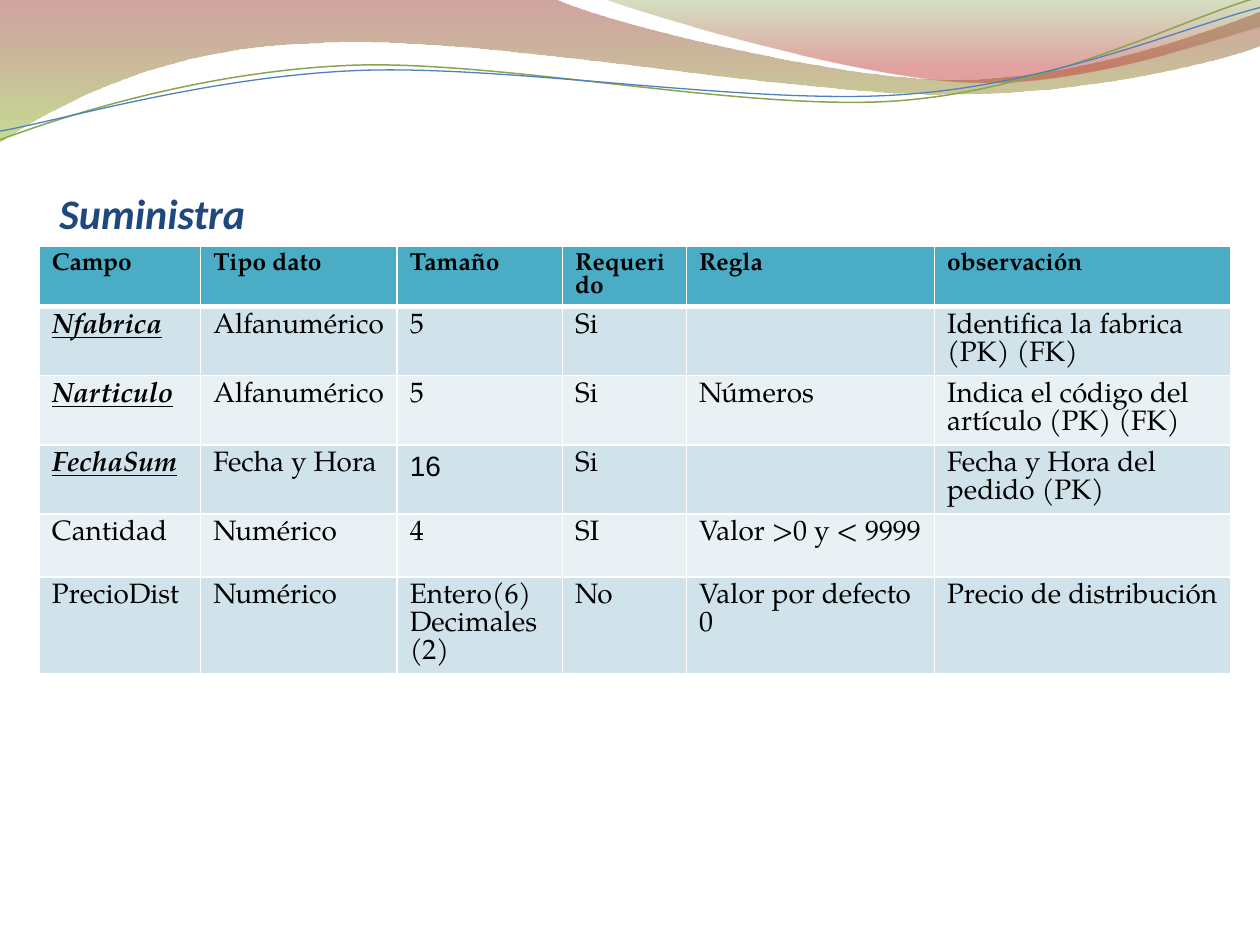
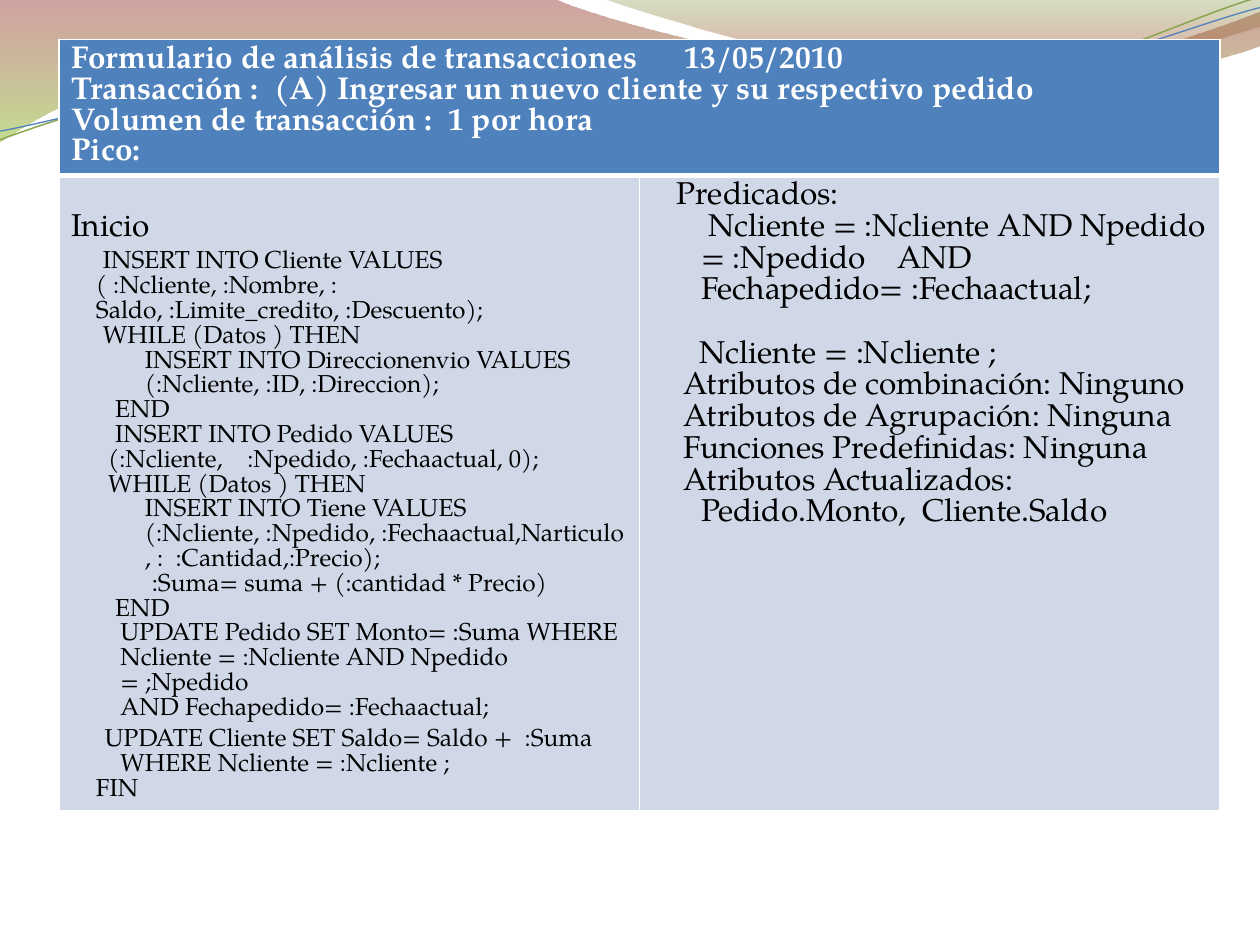
from lxml import etree
from pptx import Presentation
from pptx.dml.color import RGBColor
from pptx.enum.text import MSO_ANCHOR, PP_ALIGN
from pptx.oxml.ns import qn
from pptx.util import Pt

LEFT = PP_ALIGN.LEFT
BOTTOM = MSO_ANCHOR.BOTTOM
SERIF, SANS, PLAIN = "TeX Gyre Pagella", "Calibri", "Arial"
BLACK, WHITE, NAVY, BLUE, TEAL = "000000", "FFFFFF", "1F497D", "4F81BD", "4BACC6"
BANDS = ("D0E3EA", "E9F1F5")
PALE = "D0D8E8"

WAVES = [
    ([(0, 0), (316.8, -0.7),
      (342.7, 12.2, 478.1, 45.4, 545.8, 45.4),
      (614.2, 45.4, 689.8, 18.7, 720, 6.5), (720.7, 25.9),
      (707.8, 31.7, 626.4, 54.7, 537.1, 54),
      (447.8, 54, 275, 20.2, 185, 24.5),
      (92.9, 25.9, 33.1, 59.8, -0.7, 81.4)],
     [(0, "973330", 45), (1, "95C238", 55)]),
    ([(344.9, -0.7),
      (366.5, 7.9, 491, 44.6, 553.7, 46.8),
      (616.3, 49.7, 691.9, 23, 720, 15.1), (720, 0)],
     [(0, "769537", 30), (0.8, "BE3330", 45)]),
]
STRANDS = [
    ([(0, 79.9),
      (34.6, 67, 113.8, 41, 199.4, 37.4),
      (284.4, 33.8, 427, 64.1, 513.4, 57.6),
      (599.8, 51.1, 675.4, 10.8, 718.6, -1.4)], "89A54F", 0.85),
    ([(0, 74.9),
      (33.8, 69.1, 118.1, 43.9, 203.8, 40.3),
      (290.2, 36.7, 429.8, 60.5, 516.2, 54),
      (601.9, 48.2, 677.5, 15.1, 720, 4.3)], BLUE, 0.75),
]

HEADS = ["Campo", "Tipo dato", "Tamaño", "Requerido", "Regla", "observación"]
FIELDS = [
    ["Nfabrica", "Alfanumérico", "5", "Si", "", "Identifica la fabrica (PK) (FK)"],
    ["Narticulo", "Alfanumérico", "5", "Si", "Números",
     "Indica el código del artículo (PK) (FK)"],
    ["FechaSum", "Fecha y Hora", "16", "Si", "", "Fecha y Hora del pedido (PK)"],
    ["Cantidad", "Numérico", "4", "SI", "Valor >0 y < 9999", ""],
    ["PrecioDist", "Numérico", "Entero(6) Decimales (2)", "No",
     "Valor por defecto 0", "Precio de distribución"],
]
KEYS = ("Nfabrica", "Narticulo", "FechaSum")

TITLE, DATE = "Formulario de análisis de transacciones", "13/05/2010"
FORM = [
    (TITLE, {"aside": DATE, "gap": 22.5}),
    ("Transacción :  (A) Ingresar un nuevo cliente y su respectivo pedido", {}),
    ("Volumen de transacción :  1 por hora", {}),
    ("Pico:", {}),
]
STEPS = [
    ("Inicio", {"size": 18}),
    ("INSERT INTO Cliente VALUES ( :Ncliente, :Nombre, : Saldo, "
     ":Limite_credito, :Descuento);", {"left": 14, "first": 4, "before": 3.5}),
    ("WHILE (Datos ) THEN", {"left": 18}),
    ("INSERT INTO Direccionenvio VALUES (:Ncliente, :ID, :Direccion);", {"left": 42}),
    ("END", {"left": 25}),
    ("INSERT INTO Pedido VALUES (:Ncliente,    :Npedido, :Fechaactual, 0);",
     {"left": 21, "first": 4}),
    ("WHILE (Datos ) THEN", {"left": 21}),
    ("INSERT INTO Tiene VALUES (:Ncliente, :Npedido, :Fechaactual,Narticulo"
     ", :  :Cantidad,:Precio);", {"left": 42}),
    (":Suma= suma + (:cantidad * Precio)", {"left": 46}),
    ("END", {"left": 25}),
    ("UPDATE Pedido SET Monto= :Suma WHERE Ncliente = :Ncliente AND "
     "Npedido = ;Npedido", {"left": 28}),
    ("AND Fechapedido= :Fechaactual;", {"left": 28}),
    ("UPDATE Cliente SET Saldo= Saldo +  :Suma WHERE Ncliente = :Ncliente ;",
     {"left": 28, "first": -9, "before": 3.5}),
    ("FIN", {"left": 14, "before": 0.5}),
]
RULES = [
    ("Predicados:", {"left": 14}),
    ("Ncliente = :Ncliente AND Npedido = :Npedido    AND Fechapedido= :Fechaactual;",
     {"left": 28, "first": 4}),
    ("Ncliente = :Ncliente ;", {"left": 27, "before": 18.2}),
    ("Atributos de combinación: Ninguno", {"left": 18}),
    ("Atributos de Agrupación: Ninguna", {"left": 18}),
    ("Funciones Predefinidas: Ninguna", {"left": 18}),
    ("Atributos Actualizados: Pedido.Monto,  Cliente.Saldo",
     {"left": 28, "first": -10}),
]


def hue(code):
    return RGBColor.from_string(code)


def write(para, text, size=16, face=SERIF, color=BLACK, bold=False, slant=False,
          under=False, left=0, first=0, before=0, aside="", gap=0):
    props = para._p.get_or_add_pPr()
    props.set("marL", str(Pt(left)))
    props.set("indent", str(Pt(first)))
    para.alignment = LEFT
    if before:
        para.space_before = Pt(before)
    if not text:
        para.font.size = Pt(size)
        return
    for part in (text, " ", aside) if aside else (text,):
        run = para.add_run()
        run.text = part
        font = run.font
        font.name, font.size = face, Pt(size)
        font.bold, font.italic, font.underline = bold, slant, under
        font.color.rgb = hue(color)
        if part == " ":
            run._r.get_or_add_rPr().set("spc", str(int(gap * 100)))


def fill_list(cell, lines, **base):
    frame = cell.text_frame
    for n, (text, extra) in enumerate(lines):
        para = frame.add_paragraph() if n else frame.paragraphs[0]
        write(para, text, **{**base, **extra})


def edge(cell, side, width):
    line = etree.SubElement(cell._tc.get_or_add_tcPr(), qn("a:ln" + side),
                            w=str(Pt(width)))
    solid = etree.SubElement(line, qn("a:solidFill"))
    etree.SubElement(solid, qn("a:srgbClr"), val=WHITE)


def add_grid(slide, x, y, cols, rows, fills):
    shape = slide.shapes.add_table(len(rows), len(cols), Pt(x), Pt(y),
                                   Pt(sum(cols)), Pt(sum(rows)))
    grid = shape.table
    grid.horz_banding = False
    for col, width in zip(grid.columns, cols):
        col.width = Pt(width)
    for r, (height, code) in enumerate(zip(rows, fills)):
        grid.rows[r].height = Pt(height)
        for c in range(len(cols)):
            cell = grid.cell(r, c)
            for side in "LRTB":
                thick = (r, side) in ((0, "B"), (1, "T"))
                edge(cell, side, 3 if thick else 1)
            cell.fill.solid()
            cell.fill.fore_color.rgb = hue(code)
    return grid


def bend(shape, line, knot):
    curve = etree.Element(qn("a:cubicBezTo"))
    for x, y in zip(knot[::2], knot[1::2]):
        etree.SubElement(curve, qn("a:pt"), x=str(Pt(x) - shape.left),
                         y=str(Pt(y) - shape.top))
    line.getparent().replace(line, curve)


def add_path(slide, knots, close):
    ends = [(Pt(knot[-2]), Pt(knot[-1])) for knot in knots]
    pen = slide.shapes.build_freeform(*ends[0])
    pen.add_line_segments(ends[1:], close=close)
    shape = pen.convert_to_shape()
    shape.shadow.inherit = False
    lines = list(shape.element.iter(qn("a:lnTo")))
    for line, knot in zip(lines, knots[1:]):
        if len(knot) == 6:
            bend(shape, line, knot)
    return shape


def add_wave(slide, knots, stops):
    shape = add_path(slide, knots, True)
    shape.line.fill.background()
    shape.fill.gradient()
    shape.fill.gradient_angle = 270
    for stop, (place, code, _) in zip(shape.fill.gradient_stops, stops):
        stop.position = place
        stop.color.rgb = hue(code)
    tints = shape.element.spPr.iter(qn("a:srgbClr"))
    for tint, (_, _, alpha) in zip(list(tints), stops):
        etree.SubElement(tint, qn("a:alpha"), val=str(alpha * 1000))
    return shape


def add_strand(slide, knots, code, width):
    shape = add_path(slide, knots, False)
    shape.fill.background()
    shape.line.color.rgb = hue(code)
    shape.line.width = Pt(width)
    return shape


def set_master(master, slide):
    shapes = [add_wave(slide, *wave) for wave in WAVES]
    shapes += [add_strand(slide, *strand) for strand in STRANDS]
    tree = master.element.cSld.spTree
    for n, shape in enumerate(shapes):
        shape.element.nvSpPr.cNvPr.set("id", str(50 + n))
        tree.append(shape.element)


def set_title(slide, text):
    title = slide.shapes.title
    title.left, title.top, title.width, title.height = Pt(34), Pt(90), Pt(648), Pt(46)
    frame = title.text_frame
    frame.margin_left = frame.margin_right = frame.margin_bottom = 0
    frame.margin_top = Pt(3.6)
    frame.vertical_anchor = BOTTOM
    write(frame.paragraphs[0], text, size=24, face=SANS, color=NAVY,
          bold=True, slant=True)


def fill_fields(slide):
    set_title(slide, "Suministra")
    cols = [92.2, 112.3, 94.5, 70.8, 141.8, 169.2]
    rows = [34, 39.5, 39.5, 39.5, 36, 55]
    fills = [TEAL] + [BANDS[n % 2] for n in range(len(FIELDS))]
    grid = add_grid(slide, 22.5, 140.6, cols, rows, fills)
    for r, row in enumerate([HEADS] + FIELDS):
        for c, text in enumerate(row):
            key = text in KEYS
            write(grid.cell(r, c).text_frame.paragraphs[0], text,
                  size=16 if r else 14, face=PLAIN if text == "16" else SERIF,
                  bold=key or r == 0, slant=key, under=key)


def fill_form(slide):
    grid = add_grid(slide, 33.6, 22.5, [331.8, 331.8], [77, 363], [BLUE, PALE])
    grid.cell(0, 0).merge(grid.cell(0, 1))
    fill_list(grid.cell(0, 0), FORM, size=18, color=WHITE, bold=True)
    steps = grid.cell(1, 0)
    steps.margin_top = Pt(21.6)
    fill_list(steps, STEPS, size=14)
    fill_list(grid.cell(1, 1), RULES, size=18)


def main():
    deck = Presentation()
    deck.slide_width, deck.slide_height = Pt(720), Pt(540)
    fields = deck.slides.add_slide(deck.slide_layouts[5])
    form = deck.slides.add_slide(deck.slide_layouts[6])
    set_master(deck.slide_master, fields)
    fill_fields(fields)
    fill_form(form)
    deck.save("out.pptx")


if __name__ == "__main__":
    main()
